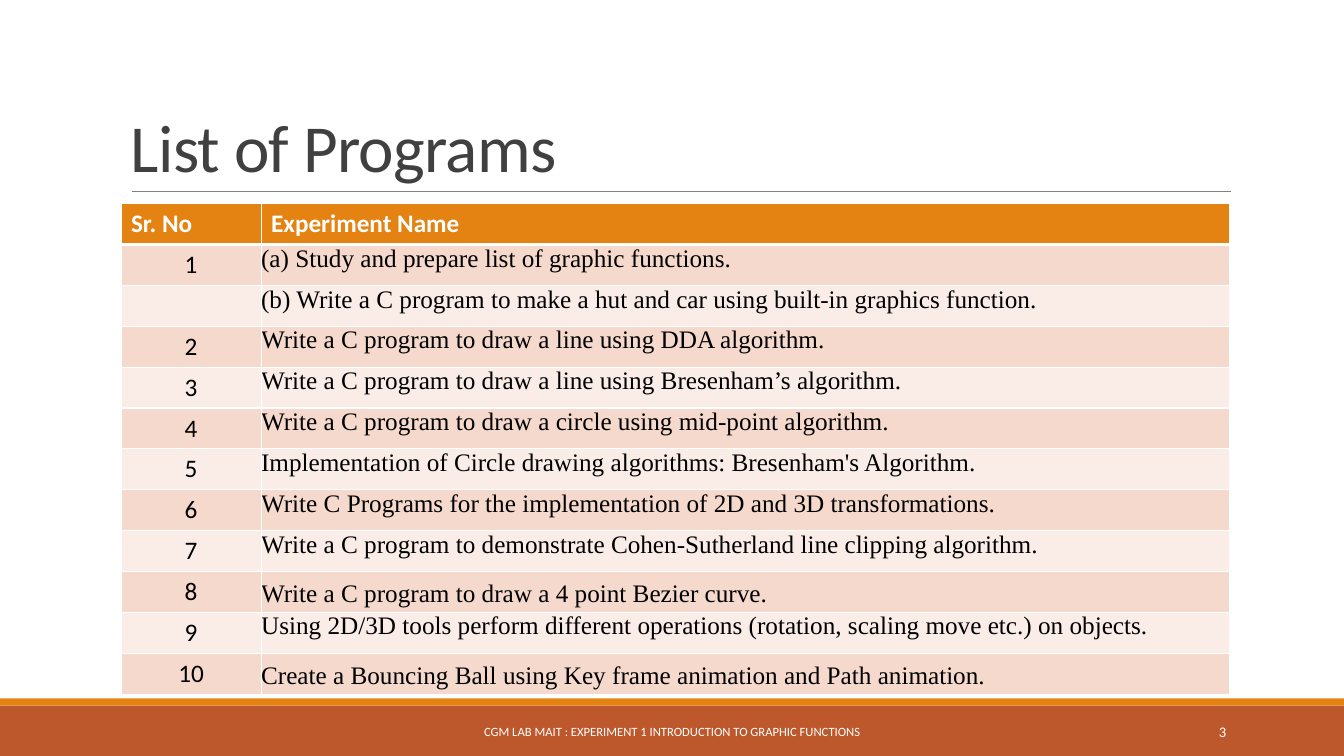
from dataclasses import dataclass
from typing import Optional

from lxml.etree import SubElement
from pptx import Presentation
from pptx.dml.color import RGBColor
from pptx.enum.shapes import MSO_CONNECTOR, MSO_SHAPE
from pptx.enum.text import MSO_ANCHOR, PP_ALIGN
from pptx.oxml.ns import qn
from pptx.util import Emu, Length, Pt

EMU_PER_PX = 9144  # 100 px to the inch


@dataclass(frozen=True)
class Theme:
    accent: str = "E48312"
    footer: str = "BD582C"
    rule: str = "808080"
    title: str = "404040"
    white: str = "FFFFFF"
    black: str = "000000"
    bands: tuple[str, str] = ("F5D9CC", "FAEDE7")
    sans: str = "Calibri"
    serif: str = "Times New Roman"
    title_size: float = 48
    table_size: float = 18
    number_size: float = 10.5
    footer_size: float = 9


THEME = Theme()


@dataclass(frozen=True)
class Area:
    left: int
    top: int
    width: int
    height: int

    def emu(self) -> tuple[Length, Length, Length, Length]:
        return px(self.left), px(self.top), px(self.width), px(self.height)


@dataclass(frozen=True)
class Style:
    size: float
    color: str
    font: str = THEME.sans
    bold: bool = False
    align: PP_ALIGN = PP_ALIGN.LEFT
    spacing: Optional[float | Length] = None
    tracking: int = 0  # hundredths of a point


@dataclass(frozen=True)
class Bar:
    area: Area
    color: str


@dataclass(frozen=True)
class Label:
    text: str
    area: Area
    style: Style
    anchor: MSO_ANCHOR = MSO_ANCHOR.MIDDLE


@dataclass(frozen=True)
class Experiment:
    number: str
    name: str
    top_inset: int = 0
    spacing: Optional[float | Length] = None


BARS = [
    Bar(Area(0, 700, 1333, 50), THEME.footer),
    Bar(Area(0, 693, 1333, 7), THEME.accent),
]
LABELS = [
    Label("CGM LAB MAIT : EXPERIMENT 1 INTRODUCTION TO GRAPHIC FUNCTIONS",
          Area(403, 706, 527, 40),
          Style(THEME.footer_size, THEME.white, align=PP_ALIGN.CENTER)),
    Label("3", Area(1083, 706, 143, 40),
          Style(THEME.number_size, THEME.white, align=PP_ALIGN.RIGHT)),
    Label("List of Programs", Area(120, 31, 1100, 159),
          Style(THEME.title_size, THEME.title, spacing=0.85, tracking=-50),
          MSO_ANCHOR.BOTTOM),
]
TABLE_AREA = Area(120, 202, 1100, 487)
COLUMN_WIDTHS = (139, 961)
HEADINGS = ("Sr. No", "Experiment Name")
LOW_INSET = 18
TIGHT = Pt(13.2)
EXPERIMENTS = [
    Experiment("1", "(a) Study and prepare list of graphic functions."),
    Experiment("", "(b) Write a C program to make a hut and car using built-in graphics function.",
               spacing=1.01),
    Experiment("2", "Write a C program to draw a line using DDA algorithm."),
    Experiment("3", "Write a C program to draw a line using Bresenham’s algorithm."),
    Experiment("4", "Write a C program to draw a circle using mid-point algorithm."),
    Experiment("5", "Implementation of Circle drawing algorithms: Bresenham's Algorithm."),
    Experiment("6", "Write C Programs for the implementation of 2D and 3D transformations."),
    Experiment("7", "Write a C program to demonstrate Cohen-Sutherland line clipping algorithm."),
    Experiment("8", "Write a C program to draw a 4 point Bezier curve.", LOW_INSET, TIGHT),
    Experiment("9", "Using 2D/3D tools perform different operations (rotation, scaling move etc.) on objects."),
    Experiment("10", "Create a Bouncing Ball using Key frame animation and Path animation.",
               LOW_INSET, TIGHT),
]


def px(value: int) -> Length:
    return Emu(value * EMU_PER_PX)


def rgb(color: str) -> RGBColor:
    return RGBColor.from_string(color)


def write(frame, text: str, style: Style) -> None:
    para = frame.paragraphs[0]
    para.alignment = style.align
    if style.spacing is not None:
        para.line_spacing = style.spacing
    if not text:
        para.font.size = Pt(style.size)
        return
    span = para.add_run()
    span.text = text
    font = span.font
    font.size, font.name, font.bold = Pt(style.size), style.font, style.bold
    font.color.rgb = rgb(style.color)
    if style.tracking:
        font._element.set("spc", str(style.tracking))


def add_bar(page, bar: Bar) -> None:
    shape = page.shapes.add_shape(MSO_SHAPE.RECTANGLE, *bar.area.emu())
    shape.shadow.inherit = False
    shape.fill.solid()
    shape.fill.fore_color.rgb = rgb(bar.color)
    shape.line.fill.background()


def add_rule(page, left: int, right: int, top: int) -> None:
    rule = page.shapes.add_connector(
        MSO_CONNECTOR.STRAIGHT, px(left), px(top), px(right), px(top))
    rule.line.color.rgb = rgb(THEME.rule)
    rule.line.width = Pt(0.5)
    SubElement(rule._element.spPr, qn("a:effectLst"))


def add_label(page, label: Label) -> None:
    box = page.shapes.add_textbox(*label.area.emu())
    box.text_frame.word_wrap = True
    box.text_frame.vertical_anchor = label.anchor
    write(box.text_frame, label.text, label.style)


def paint_cell(cell, fill: str, top: float = 1, bottom: float = 1) -> None:
    properties = cell._tc.get_or_add_tcPr()
    for side, width in (("L", 1), ("R", 1), ("T", top), ("B", bottom)):
        edge = SubElement(properties, qn(f"a:ln{side}"), w=str(Pt(width)))
        solid = SubElement(edge, qn("a:solidFill"))
        SubElement(solid, qn("a:srgbClr"), val=THEME.white)
    cell.fill.solid()
    cell.fill.fore_color.rgb = rgb(fill)


def add_experiments(page) -> None:
    row_count = len(EXPERIMENTS) + 1
    table = page.shapes.add_table(row_count, len(HEADINGS), *TABLE_AREA.emu()).table
    table.first_row = table.horz_banding = False
    for column, width in zip(table.columns, COLUMN_WIDTHS):
        column.width = px(width)
    for row in table.rows:
        row.height = Emu(px(TABLE_AREA.height) // row_count)

    # Header row
    heading_style = Style(THEME.table_size, THEME.white, bold=True)
    for index, heading in enumerate(HEADINGS):
        cell = table.cell(0, index)
        paint_cell(cell, THEME.accent, bottom=3)
        write(cell.text_frame, heading, heading_style)

    # Banded body rows
    number_style = Style(THEME.table_size, THEME.black, align=PP_ALIGN.CENTER)
    for index, experiment in enumerate(EXPERIMENTS):
        number, name = table.cell(index + 1, 0), table.cell(index + 1, 1)
        for cell in (number, name):
            paint_cell(cell, THEME.bands[index % 2], top=3 if index == 0 else 1)
        name.margin_left = name.margin_right = name.margin_bottom = 0
        name.margin_top = px(experiment.top_inset)
        write(number.text_frame, experiment.number, number_style)
        write(name.text_frame, experiment.name,
              Style(THEME.table_size, THEME.black, THEME.serif, spacing=experiment.spacing))


def main() -> None:
    deck = Presentation()
    deck.slide_width, deck.slide_height = px(1333), px(750)
    page = deck.slides.add_slide(deck.slide_layouts[6])
    for bar in BARS:
        add_bar(page, bar)
    add_rule(page, 131, 1221, 190)
    add_experiments(page)
    for label in LABELS:
        add_label(page, label)
    deck.save("out.pptx")


if __name__ == "__main__":
    main()
